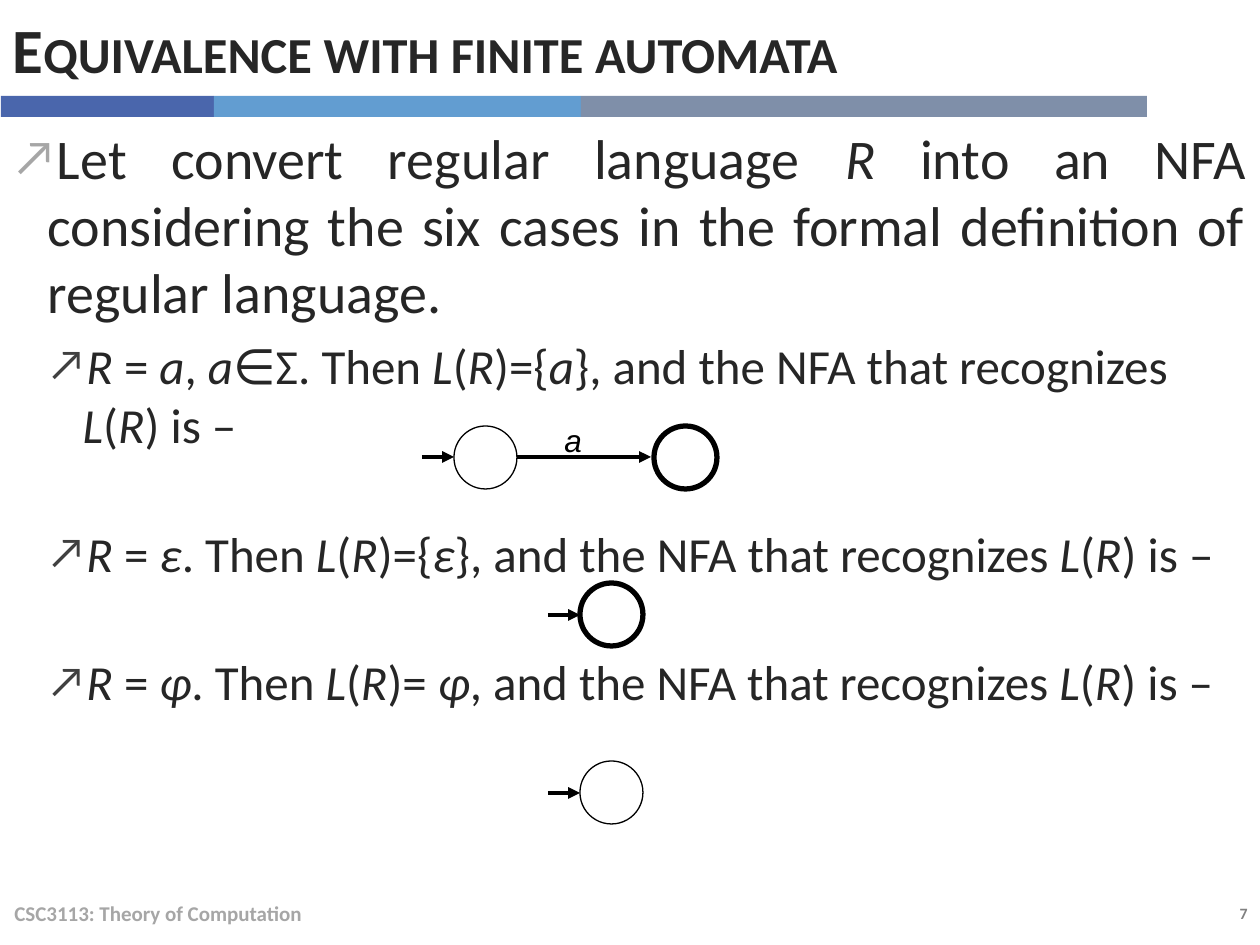
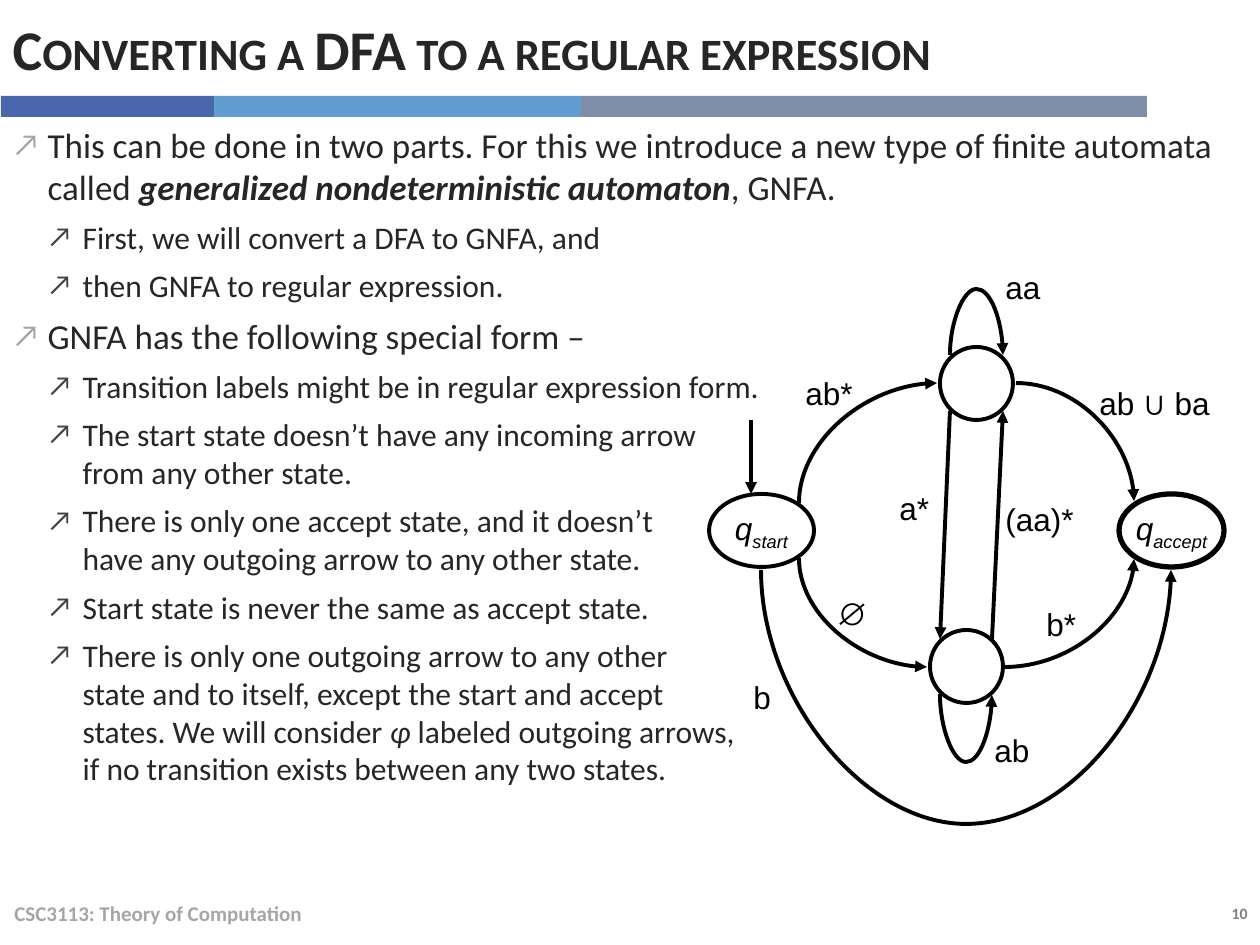
"""Build two slides on finite automata and regular expressions."""

from dataclasses import dataclass

import pptx
import pptx.dml.color
import pptx.enum.shapes
import pptx.enum.text
import pptx.oxml
import pptx.oxml.ns
import pptx.util

RGBColor = pptx.dml.color.RGBColor
INK = RGBColor(0x26, 0x26, 0x26)
BLACK = RGBColor(0x00, 0x00, 0x00)
FOOTER_GREY = RGBColor(0xA6, 0xA6, 0xA6)
NUMBER_GREY = RGBColor(0x80, 0x80, 0x80)
INDIGO = RGBColor(0x4A, 0x66, 0xAC)
SKY = RGBColor(0x62, 0x9D, 0xD1)
SLATE = RGBColor(0x7F, 0x8F, 0xA9)
BULLET_COLOURS = ("A6A6A6", "404040")

ALIGN = pptx.enum.text.PP_ALIGN
ANCHOR = pptx.enum.text.MSO_ANCHOR
SHAPE = pptx.enum.shapes.MSO_SHAPE
EMU_PER_PIXEL = 914400 / 126
TEXT_FONT = "Calibri"
DIAGRAM_FONT = "Arial"
INDENT = 35
BAND_TOP, BAND_HEIGHT = 96, 21
BANDS = ((1, 213, INDIGO), (214, 367, SKY), (581, 566, SLATE))

Point = tuple[float, float]


@dataclass(frozen=True)
class Item:
    """A list paragraph whose spans between bars are emphasised."""

    text: str
    level: int = 0
    space_before: int = 6
    align: ALIGN = ALIGN.LEFT
    bold_marks: bool = False


@dataclass(frozen=True)
class State:
    """An automaton state, with an optional subscript for its name."""

    left: int
    top: int
    width: int
    height: int
    line_width: float
    subscript: str = ""


@dataclass(frozen=True)
class Arrow:
    """A transition that turns at its corners, or runs straight without any."""

    start: Point
    end: Point
    corners: tuple[Point, ...] = ()


@dataclass(frozen=True)
class Label:
    """The text on a transition."""

    text: str
    left: int
    top: int
    width: int = 73
    italic: bool = False


@dataclass(frozen=True)
class Page:
    """The whole content of one slide."""

    number: int
    title: str
    title_size: int
    level_sizes: tuple[int, int]
    items: tuple[Item, ...]
    states: tuple[State, ...]
    arrows: tuple[Arrow, ...]
    labels: tuple[Label, ...]


def px(length: float) -> pptx.util.Emu:
    """Turn pixels into EMU."""
    return pptx.util.Emu(round(length * EMU_PER_PIXEL))


def place(shape, left: int, top: int, width: int, height: int) -> None:
    """Move and resize a shape."""
    shape.left, shape.top, shape.width, shape.height = map(px, (left, top, width, height))


def style(font, name: str, size: int, colour: RGBColor, bold=False, italic=False) -> None:
    """Set the common properties of a font."""
    font.name, font.size = name, pptx.util.Pt(size)
    font.bold, font.italic = bold, italic
    font.color.rgb = colour


def add_text(slide, text: str, bounds: tuple[int, int, int, int]):
    """Add a one-paragraph text box and return its frame."""
    frame = slide.shapes.add_textbox(*map(px, bounds)).text_frame
    frame.word_wrap = True
    frame.text = text
    return frame


def draw_chrome(slide, number: int) -> None:
    """Draw the bands, the footer and the page number."""
    for left, width, colour in BANDS:
        band = slide.shapes.add_shape(
            SHAPE.RECTANGLE, *map(px, (left, BAND_TOP, width, BAND_HEIGHT)))
        band.shadow.inherit = False
        band.fill.solid()
        band.fill.fore_color.rgb = colour
        band.line.fill.background()
    footer = add_text(slide, "CSC3113: Theory of Computation", (2, 888, 844, 50))
    footer.vertical_anchor = ANCHOR.MIDDLE
    style(footer.paragraphs[0].font, TEXT_FONT, 12, FOOTER_GREY, bold=True)
    number_para = add_text(slide, str(number), (1100, 898, 160, 32)).paragraphs[0]
    number_para.alignment = ALIGN.RIGHT
    style(number_para.font, TEXT_FONT, 9, NUMBER_GREY, bold=True)


def fill_title(slide, text: str, size: int) -> None:
    """Write the title in bold small capitals."""
    title = slide.shapes.title
    place(title, 0, 0, 1147, BAND_TOP)
    frame = title.text_frame
    frame.auto_size = pptx.enum.text.MSO_AUTO_SIZE.NONE
    frame.vertical_anchor = ANCHOR.MIDDLE
    para = frame.paragraphs[0]
    para.alignment = ALIGN.LEFT
    para.space_before = pptx.util.Pt(6)
    style(para.font, TEXT_FONT, size, INK, bold=True)
    span = para.add_run()
    span.text = text
    span.font._element.set("cap", "small")


def add_bullet(para, level: int) -> None:
    """Give a paragraph its hanging arrow bullet."""
    properties = para._p.get_or_add_pPr()
    properties.set("marL", str(px(INDENT * (level + 1))))
    properties.set("indent", str(px(-INDENT)))
    namespace = pptx.oxml.ns.nsdecls("a")
    for markup in (
        f'<a:buClr {namespace}><a:srgbClr val="{BULLET_COLOURS[level]}"/></a:buClr>',
        f'<a:buSzPct {namespace} val="90000"/>',
        f'<a:buFont {namespace} typeface="{TEXT_FONT}"/>',
        f'<a:buChar {namespace} char="\u2197"/>',
    ):
        properties.append(pptx.oxml.parse_xml(markup))


def fill_body(slide, items: tuple[Item, ...], sizes: tuple[int, int]) -> None:
    """Write the bulleted list."""
    body = slide.placeholders[1]
    place(body, 0, BAND_TOP + BAND_HEIGHT, 1259, 770)
    frame = body.text_frame
    frame.auto_size = pptx.enum.text.MSO_AUTO_SIZE.NONE
    for index, item in enumerate(items):
        para = frame.add_paragraph() if index else frame.paragraphs[0]
        para.level, para.alignment = item.level, item.align
        para.space_before = pptx.util.Pt(item.space_before)
        add_bullet(para, item.level)
        style(para.font, TEXT_FONT, sizes[item.level], INK)
        for position, piece in enumerate(item.text.split("|")):
            for row, line in enumerate(piece.split("\n")):
                if row:
                    para.add_line_break()
                if not line:
                    continue
                span = para.add_run()
                span.text = line
                if position % 2:
                    span.font.italic = True
                    span.font.bold = item.bold_marks


def draw_state(slide, state: State) -> None:
    """Draw a state as an outlined ellipse."""
    ellipse = slide.shapes.add_shape(
        SHAPE.OVAL, *map(px, (state.left, state.top, state.width, state.height)))
    ellipse.shadow.inherit = False
    ellipse.fill.background()
    ellipse.line.color.rgb = BLACK
    ellipse.line.width = pptx.util.Pt(state.line_width)
    if state.subscript:
        frame = ellipse.text_frame
        frame.word_wrap = False
        frame.vertical_anchor = ANCHOR.MIDDLE
        para = frame.paragraphs[0]
        para.alignment = ALIGN.CENTER
        style(para.font, DIAGRAM_FONT, 18, BLACK, italic=True)
        para.add_run().text = "q"
        span = para.add_run()
        span.text = state.subscript
        span.font._element.set("baseline", "-25000")


def middle(first: Point, second: Point) -> Point:
    """Return the point halfway between two points."""
    return (first[0] + second[0]) / 2, (first[1] + second[1]) / 2


def add_curve(slide, arrow: Arrow):
    """Add an open outline with one Bezier quarter turn at each corner."""
    corners = arrow.corners
    joints = [arrow.start, *map(middle, corners, corners[1:]), arrow.end]
    points = []
    for begin, corner, finish in zip(joints, corners, joints[1:]):
        points += [middle(begin, corner), middle(corner, finish), finish]
    builder = slide.shapes.build_freeform(*map(px, arrow.start))
    builder.add_line_segments([(px(x), px(y)) for x, y in points], close=False)
    curve = builder.convert_to_shape()
    curve.shadow.inherit = False
    curve.fill.background()
    segments = list(curve._element.iter(pptx.oxml.ns.qn("a:lnTo")))
    for first in range(0, len(segments), 3):
        bezier = pptx.oxml.parse_xml(f'<a:cubicBezTo {pptx.oxml.ns.nsdecls("a")}/>')
        segments[first].addprevious(bezier)
        for segment in segments[first:first + 3]:
            bezier.append(segment[0])
            segment.getparent().remove(segment)
    return curve


def draw_arrow(slide, arrow: Arrow) -> None:
    """Draw a transition with a triangle at its end."""
    namespace = pptx.oxml.ns.nsdecls("a")
    if arrow.corners:
        line = add_curve(slide, arrow)
    else:
        line = slide.shapes.add_connector(
            pptx.enum.shapes.MSO_CONNECTOR.STRAIGHT, *map(px, arrow.start + arrow.end))
    line.line.color.rgb = BLACK
    line.line.width = pptx.util.Pt(2.25)
    properties = line._element.spPr
    properties.find(pptx.oxml.ns.qn("a:ln")).append(
        pptx.oxml.parse_xml(f'<a:tailEnd {namespace} type="triangle"/>'))
    if not arrow.corners:
        properties.append(pptx.oxml.parse_xml(f"<a:effectLst {namespace}/>"))


def draw_page(deck, page: Page) -> None:
    """Add one slide with all its content."""
    slide = deck.slides.add_slide(deck.slide_layouts[1])
    draw_chrome(slide, page.number)
    fill_title(slide, page.title, page.title_size)
    fill_body(slide, page.items, page.level_sizes)
    for state in page.states:
        draw_state(slide, state)
    for arrow in page.arrows:
        draw_arrow(slide, arrow)
    for label in page.labels:
        frame = add_text(slide, label.text, (label.left, label.top, label.width, 50))
        style(frame.paragraphs[0].font, DIAGRAM_FONT, 18, BLACK, italic=label.italic)


RECOGNIZES = "and the NFA that recognizes |L|(|R|) is \u2013"
EQUIVALENCE = Page(
    7, "Equivalence with finite automata", 36, (32, 28),
    (Item("Let convert regular language |R| into an NFA considering the six cases "
          "in the formal definition of regular language.", align=ALIGN.JUSTIFY),
     Item("|R| = |a|, |a|\u2208\u03a3. Then |L|(|R|)={|a|}, " + RECOGNIZES, 1),
     Item("|R| = |\u03b5|. Then |L|(|R|)={|\u03b5|}, " + RECOGNIZES, 1, 40),
     Item("|R| = |\u03c6|. Then |L|(|R|)= |\u03c6|, " + RECOGNIZES, 1, 40)),
    (State(454, 426, 63, 63, 0.75), State(580, 761, 63, 63, 0.75),
     State(580, 583, 63, 63, 3), State(654, 426, 63, 63, 3)),
    (Arrow((517, 457), (651, 457)), Arrow((422, 457), (454, 457)),
     Arrow((548, 615), (580, 615)), Arrow((548, 793), (580, 793))),
    (Label("a", 552, 415, 49, italic=True),))

CONVERSION = Page(
    10, "Converting a DFA to a regular expression", 32, (20, 18),
    (Item("This can be done in two parts. For this we introduce a new type of finite automata "
          "called |generalized nondeterministic automaton|, GNFA.", bold_marks=True),
     Item("First, we will convert a DFA to GNFA, and", 1),
     Item("then GNFA to regular expression.", 1),
     Item("GNFA has the following special form \u2013"),
     Item("Transition labels might be in regular expression form.", 1),
     Item("The start state doesn\u2019t have any incoming arrow\nfrom any other state.", 1),
     Item("There is only one accept state, and it doesn\u2019t\n"
          "have any outgoing arrow to any other state.", 1),
     Item("Start state is never the same as accept state.", 1),
     Item("There is only one outgoing arrow to any other\nstate and to itself, except the start "
          "and accept\nstates. We will consider |\u03c6 |labeled outgoing arrows,\n"
          "if no transition exists between any two states.", 1)),
    (State(940, 347, 73, 73, 2.25), State(930, 630, 73, 73, 2.25),
     State(709, 494, 105, 73, 2.25, "start"), State(1119, 494, 105, 73, 3, "accept")),
    (Arrow((799, 503), (937, 383), ((799, 383),)),
     Arrow((799, 558), (927, 667), ((799, 667),)),
     Arrow((761, 570), (1171, 570), ((761, 824), (1171, 824))),
     Arrow((1016, 383), (1134, 501), ((1134, 383),)),
     Arrow((1004, 667), (1134, 559), ((1134, 667),)),
     Arrow((950, 411), (940, 639)), Arrow((992, 639), (1003, 411)),
     Arrow((940, 694), (992, 695), ((940, 762), (992, 762))),
     Arrow((950, 355), (1003, 355), ((950, 289), (1003, 289))),
     Arrow((751, 420), (751, 494))),
    (Label("ab*", 793, 368), Label("a*", 887, 483), Label("(aa)*", 993, 494, 95),
     Label("\u2205", 824, 588), Label("b*", 1034, 599), Label("aa", 993, 262),
     Label("ab \u222a ba", 1087, 378, 158), Label("ab", 982, 725), Label("b", 741, 672)))


def main() -> None:
    """Build and save the deck."""
    deck = pptx.Presentation()
    deck.slide_width, deck.slide_height = px(1260), px(945)
    for page in (EQUIVALENCE, CONVERSION):
        draw_page(deck, page)
    deck.save("out.pptx")


main()
